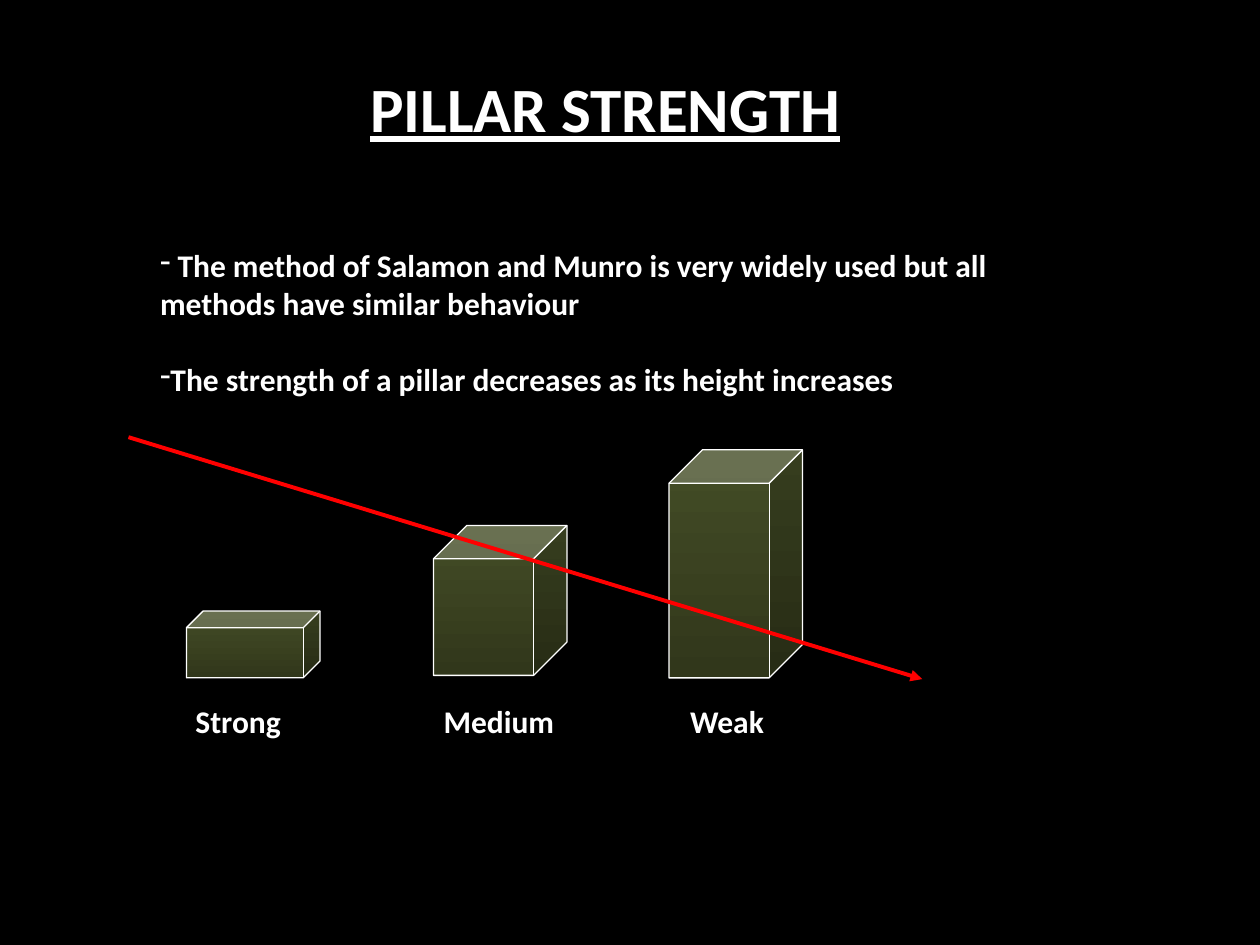
from lxml.etree import SubElement
from pptx import Presentation
from pptx.dml.color import RGBColor
from pptx.enum.shapes import MSO_CONNECTOR, MSO_SHAPE
from pptx.enum.text import MSO_ANCHOR, PP_ALIGN
from pptx.oxml.ns import qn
from pptx.util import Inches, Pt

BLACK = RGBColor(0x00, 0x00, 0x00)
WHITE = RGBColor(0xFF, 0xFF, 0xFF)
RED = RGBColor(0xFF, 0x00, 0x00)
OLIVE = RGBColor(0x44, 0x4D, 0x26)
DARK_OLIVE = RGBColor(0x31, 0x37, 0x1B)

FONT = "Calibri"
PILLAR_WIDTH = 1.06
LABEL_TOP, LABEL_WIDTH, LABEL_HEIGHT = 5.52, 1.4, 0.4

POINTS = [
    (" ", "The method of Salamon and Munro is very widely used but all "
          "methods have similar behaviour"),
    ("", "The strength of a pillar decreases as its height increases"),
]
# Name, left, top, height, centre of the label
PILLARS = [
    ("Strong", 1.48, 4.85, 0.53, 1.89),
    ("Medium", 3.44, 4.17, 1.19, 3.96),
    ("Weak", 5.31, 3.57, 1.81, 5.77),
]


def place(shape, left, top, width, height):
    shape.left, shape.top = Inches(left), Inches(top)
    shape.width, shape.height = Inches(width), Inches(height)


def style(span, size, bold=True):
    span.font.name, span.font.size, span.font.bold = FONT, Pt(size), bold
    span.font.color.rgb = WHITE


def fill_title(title, box):
    place(title, *box)
    title.text_frame.text = "PILLAR STRENGTH"
    title.text_frame.vertical_anchor = MSO_ANCHOR.TOP
    para = title.text_frame.paragraphs[0]
    para.alignment = PP_ALIGN.CENTER
    style(para.runs[0], 36)
    para.runs[0].font.underline = True


def fill_points(body, box):
    place(body, *box)
    frame = body.text_frame
    for index, (lead, words) in enumerate(POINTS):
        para = frame.paragraphs[0] if index == 0 else frame.add_paragraph()
        properties = para._p.get_or_add_pPr()
        properties.set("marL", "0")
        properties.set("indent", "0")
        SubElement(properties, qn("a:buFontTx"))
        SubElement(properties, qn("a:buChar"), char="-")
        para.space_before = Pt(22 * index)
        for text, bold in ((lead, False), (words, True)):
            if text:
                span = para.add_run()
                span.text = text
                style(span, 18, bold)


def add_pillar(page, name, left, top, height, centre):
    pillar = page.shapes.add_shape(
        MSO_SHAPE.CUBE, Inches(left), Inches(top),
        Inches(PILLAR_WIDTH), Inches(height))
    pillar.shadow.inherit = False
    pillar.fill.gradient()
    pillar.fill.gradient_angle = 270
    for stop, color in zip(pillar.fill.gradient_stops, (OLIVE, DARK_OLIVE)):
        stop.color.rgb = color
    first, last = pillar.fill.gradient_stops
    first.position, last.position = 0, 1
    pillar.line.color.rgb = WHITE
    pillar.line.width = Pt(0.75)

    label = page.shapes.add_textbox(
        Inches(centre - LABEL_WIDTH / 2), Inches(LABEL_TOP),
        Inches(LABEL_WIDTH), Inches(LABEL_HEIGHT))
    label.text_frame.word_wrap = True
    label.text_frame.text = name
    para = label.text_frame.paragraphs[0]
    para.alignment = PP_ALIGN.CENTER
    style(para.runs[0], 18)


def add_trend_arrow(page, start, end):
    arrow = page.shapes.add_connector(
        MSO_CONNECTOR.STRAIGHT, *map(Inches, start + end))
    arrow.line.color.rgb = RED
    arrow.line.width = Pt(2.25)
    SubElement(arrow.line._get_or_add_ln(), qn("a:tailEnd"), type="triangle")
    SubElement(arrow._element.spPr, qn("a:effectLst"))


def main():
    deck = Presentation()
    deck.slide_width, deck.slide_height = Inches(10), Inches(7.5)
    page = deck.slides.add_slide(deck.slide_layouts[1])
    page.background.fill.solid()
    page.background.fill.fore_color.rgb = BLACK

    fill_title(page.shapes.title, (2.42, 0.5, 4.77, 0.71))
    fill_points(page.placeholders[1], (1.17, 1.9, 7.65, 1.4))
    for pillar in PILLARS:
        add_pillar(page, *pillar)
    add_trend_arrow(page, (1.02, 3.47), (7.32, 5.39))
    deck.save("out.pptx")


if __name__ == "__main__":
    main()
